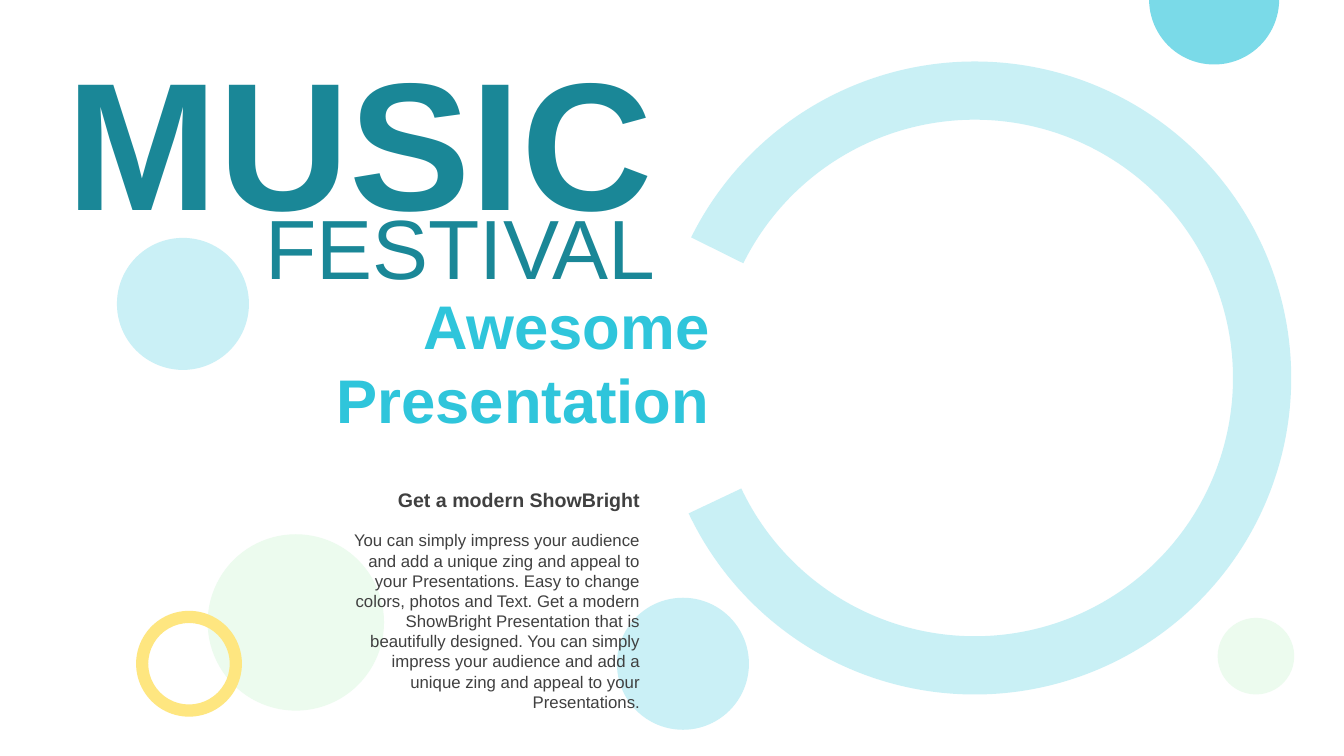
from lxml.etree import SubElement
from pptx import Presentation
from pptx.dml.color import RGBColor
from pptx.enum.shapes import MSO_SHAPE
from pptx.enum.text import MSO_ANCHOR, MSO_AUTO_SIZE, PP_ALIGN
from pptx.oxml.ns import qn
from pptx.util import Inches, Pt

COLS, ROWS = 133.33, 75
WIDE, HIGH = Inches(13.333), Inches(7.5)
COLORS = {
    "teal": "1A8797",
    "cyan": "2FC5DB",
    "aqua": "7ADAE8",
    "pale": "CAF0F6",
    "mint": "ECFBEE",
    "gold": "FEE680",
    "gray": "404040",
}
STORY = (
    "You can simply impress your audience and add a unique zing and appeal to "
    "your Presentations. Easy to change colors, photos and Text. Get a modern "
    "ShowBright Presentation that is beautifully designed. You can simply "
    "impress your audience and add a unique zing and appeal to your Presentations."
)


def color(name):
    return RGBColor.from_string(COLORS[name])


def grid(left, top, width, height):
    return (
        round(left * WIDE / COLS),
        round(top * HIGH / ROWS),
        round(width * WIDE / COLS),
        round(height * HIGH / ROWS),
    )


def draw(slide, kind, left, top, size, fill, turns=(), alpha=None):
    shape = slide.shapes.add_shape(kind, *grid(left, top, size, size))
    shape.shadow.inherit = False
    shape.fill.solid()
    shape.fill.fore_color.rgb = color(fill)
    shape.line.fill.background()
    for index, turn in enumerate(turns):
        shape.adjustments[index] = turn
    if alpha is not None:
        tint = shape.element.spPr.find(qn("a:solidFill"))[0]
        SubElement(tint, qn("a:alpha"), val=str(alpha * 1000))


def write(slide, text, cell, size, fill, bold=False, align=PP_ALIGN.RIGHT,
          anchor=MSO_ANCHOR.TOP, holder=None):
    box = holder or slide.shapes.add_textbox(*grid(*cell))
    box.left, box.top, box.width, box.height = grid(*cell)
    box.element.getparent().append(box.element)
    frame = box.text_frame
    frame.text = text
    frame.word_wrap = True
    frame.auto_size = MSO_AUTO_SIZE.NONE
    frame.vertical_anchor = anchor
    for para in frame.paragraphs:
        props = para._p.get_or_add_pPr()
        props.set("marL", "0")
        props.set("indent", "0")
        SubElement(props, qn("a:buNone"))
        para.alignment = align
        para.space_before = Pt(0)
        font = para.font
        font.name = "Arial"
        font.size = Pt(size)
        font.bold = bold
        font.color.rgb = color(fill)


def main():
    deck = Presentation()
    deck.slide_width, deck.slide_height = WIDE, HIGH
    slide = deck.slides.add_slide(deck.slide_layouts[1])
    title, body = slide.placeholders
    center = {"align": PP_ALIGN.CENTER, "anchor": MSO_ANCHOR.MIDDLE}

    draw(slide, MSO_SHAPE.BLOCK_ARC, 65.3, 6.1, 62.8, "aqua",
         (123.82, 92.8, 0.092), alpha=40)
    for left, top, size, fill in (
        (61.2, 59.3, 13.1, "pale"),
        (11.6, 23.6, 13.1, "pale"),
        (20.6, 53, 17.5, "mint"),
        (120.8, 61.3, 7.6, "mint"),
    ):
        draw(slide, MSO_SHAPE.OVAL, left, top, size, fill)
    draw(slide, MSO_SHAPE.CHORD, 114, -6.5, 12.9, "aqua", (215.98, 109.27))
    draw(slide, MSO_SHAPE.DONUT, 13.5, 60.6, 10.5, "gold", (0.115,))

    write(slide, "FESTIVAL", (24.7, 18.8, 42, 11.1), 60, "teal", **center)
    write(slide, "MUSIC", (2.6, 2.2, 66.2, 22.9), 130, "teal", bold=True,
          holder=title, **center)
    write(slide, "Awesome\nPresentation", (26.9, 28, 44.5, 15.8), 44, "cyan",
          bold=True, anchor=MSO_ANCHOR.MIDDLE)
    write(slide, "Get a modern ShowBright", (33.9, 47.9, 30.6, 3.4), 14, "gray",
          bold=True)
    write(slide, STORY, (33.9, 52.1, 30.6, 19.2), 12, "gray", holder=body)

    deck.save("out.pptx")


if __name__ == "__main__":
    main()
